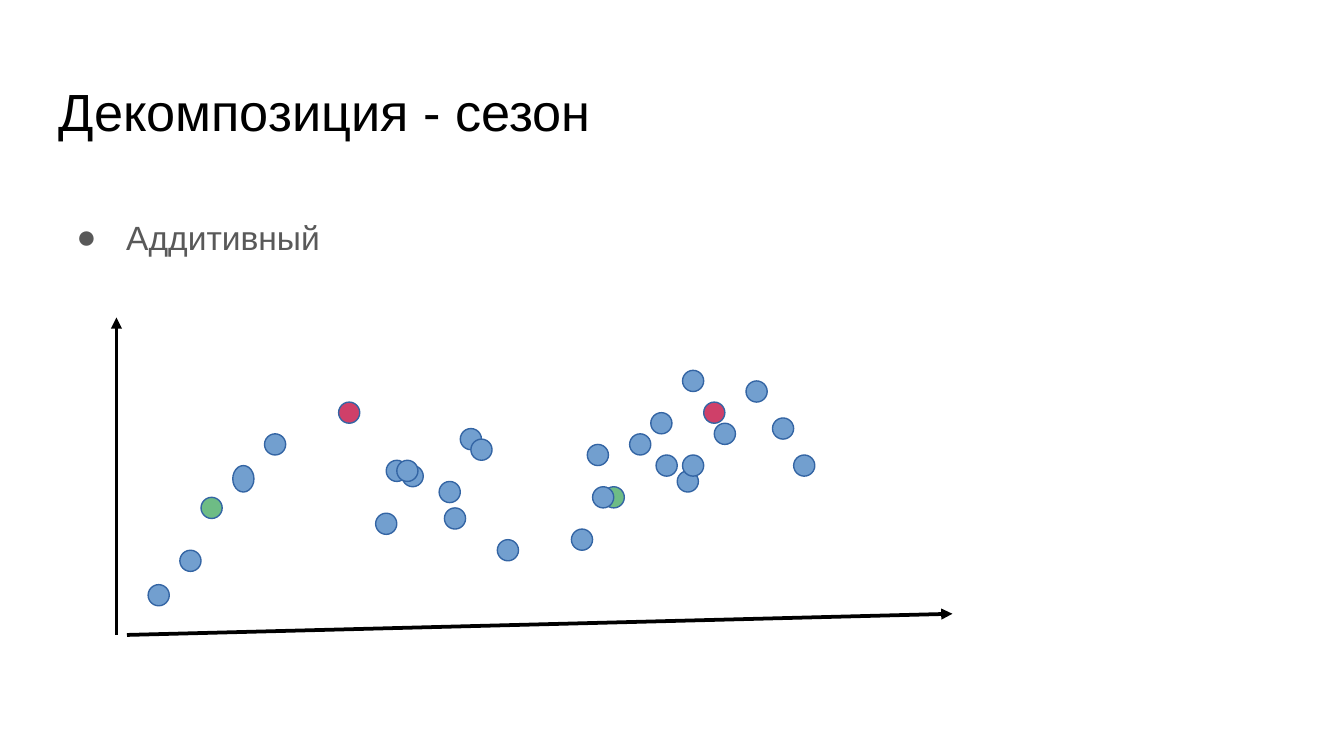
from typing import NamedTuple

import lxml.etree
import pptx
import pptx.dml.color
import pptx.enum.shapes
import pptx.enum.text
import pptx.oxml.ns
import pptx.util

RGB = pptx.dml.color.RGBColor
BLACK = RGB(0x00, 0x00, 0x00)
GREY = RGB(0x59, 0x59, 0x59)
BLUE = RGB(0x72, 0x9F, 0xCF)
GREEN = RGB(0x6E, 0xBC, 0x85)
RED = RGB(0xCF, 0x40, 0x69)
OUTLINE = RGB(0x34, 0x65, 0xA4)

WIDTH = pptx.util.Inches(10)
HEIGHT = WIDTH * 9 // 16
CELL = pptx.util.Mm(1)  # the chart grid: columns and rows of 1 mm
DOT = 4  # dot diameter in cells


class Dot(NamedTuple):
    col: float
    row: float
    color: RGB = BLUE
    rows: int = DOT


class Axis(NamedTuple):
    start: tuple[int, int]
    end: tuple[int, int]


class Label(NamedTuple):
    text: str
    top: float  # percent of the slide height
    height: float  # percent of the slide height
    inset: float  # inches above the text
    size: int
    color: RGB
    bullet: bool = False


LABELS = [
    Label("Декомпозиция - сезон", 8.65, 11.13, 0.1, 28, BLACK),
    Label("Аддитивный", 22.41, 66.41, 0.51, 18, GREY, bullet=True),
]
AXES = [Axis((22, 120), (22, 60)), Axis((24, 120), (180, 116))]
DOTS = [
    Dot(50, 82), Dot(34, 104), Dot(76, 88), Dot(28, 110.5),
    Dot(38, 94, GREEN), Dot(64, 76, RED), Dot(73, 87), Dot(87, 81),
    Dot(124, 86), Dot(83, 91), Dot(94, 102), Dot(114, 92, GREEN),
    Dot(44, 88, rows=5), Dot(75, 87), Dot(112, 92), Dot(71, 97),
    Dot(84, 96), Dot(89, 83), Dot(108, 100), Dot(128, 89),
    Dot(146, 79), Dot(111, 84), Dot(123, 78), Dot(129, 70),
    Dot(119, 82), Dot(133, 76, RED), Dot(150, 86), Dot(129, 86),
    Dot(135, 80), Dot(141, 72),
]


def cells(count: float) -> int:
    return round(count * CELL)


def share(percent: float, whole: int) -> int:
    return round(percent * whole / 100)


def add_xml(parent, tag: str, **attrs: str):
    return lxml.etree.SubElement(parent, pptx.oxml.ns.qn(tag), attrs)


def set_all(target, values: dict) -> None:
    for name, value in values.items():
        setattr(target, name, value)


def add_label(s, label: Label) -> None:
    sp = s.shapes.add_textbox(share(3.41, WIDTH), share(label.top, HEIGHT),
                              share(93.18, WIDTH), share(label.height, HEIGHT))
    tf = sp.text_frame
    side = pptx.util.Inches(0.1)
    set_all(tf, {
        "word_wrap": True,
        "vertical_anchor": pptx.enum.text.MSO_ANCHOR.TOP,
        "margin_left": side, "margin_right": side, "margin_bottom": side,
        "margin_top": pptx.util.Inches(label.inset),
    })
    p = tf.paragraphs[0]
    if label.bullet:
        pPr = p._p.get_or_add_pPr()
        pPr.set("marL", str(pptx.util.Inches(0.5)))
        pPr.set("indent", str(pptx.util.Inches(-0.37)))
        add_xml(add_xml(pPr, "a:buClr"), "a:srgbClr", val=str(label.color))
        add_xml(pPr, "a:buFont", typeface="Arial")
        add_xml(pPr, "a:buChar", char="●")
    r = p.add_run()
    r.text = label.text
    set_all(r.font, {"name": "Arial", "size": pptx.util.Pt(label.size)})
    r.font.color.rgb = label.color


def add_axis(s, axis: Axis) -> None:
    sp = s.shapes.add_connector(pptx.enum.shapes.MSO_CONNECTOR.STRAIGHT,
                                *map(cells, axis.start + axis.end))
    sp.line.color.rgb = BLACK
    sp.line.width = 0  # hairline
    add_xml(sp.line._get_or_add_ln(), "a:tailEnd", type="triangle")
    add_xml(sp._element.spPr, "a:effectLst")


def add_dot(s, dot: Dot) -> None:
    sp = s.shapes.add_shape(pptx.enum.shapes.MSO_SHAPE.OVAL,
                            *map(cells, (dot.col, dot.row, DOT, dot.rows)))
    sp.shadow.inherit = False
    sp.fill.solid()
    sp.fill.fore_color.rgb = dot.color
    sp.line.color.rgb = OUTLINE
    sp.line.width = 0  # hairline


def main() -> None:
    prs = pptx.Presentation()
    set_all(prs, {"slide_width": WIDTH, "slide_height": HEIGHT})
    s = prs.slides.add_slide(prs.slide_layouts[6])

    # Title and bullet
    for label in LABELS:
        add_label(s, label)

    # Seasonal scatter sketch: axes, then dots from back to front
    for axis in AXES:
        add_axis(s, axis)
    for dot in DOTS:
        add_dot(s, dot)

    prs.save("out.pptx")


if __name__ == "__main__":
    main()
